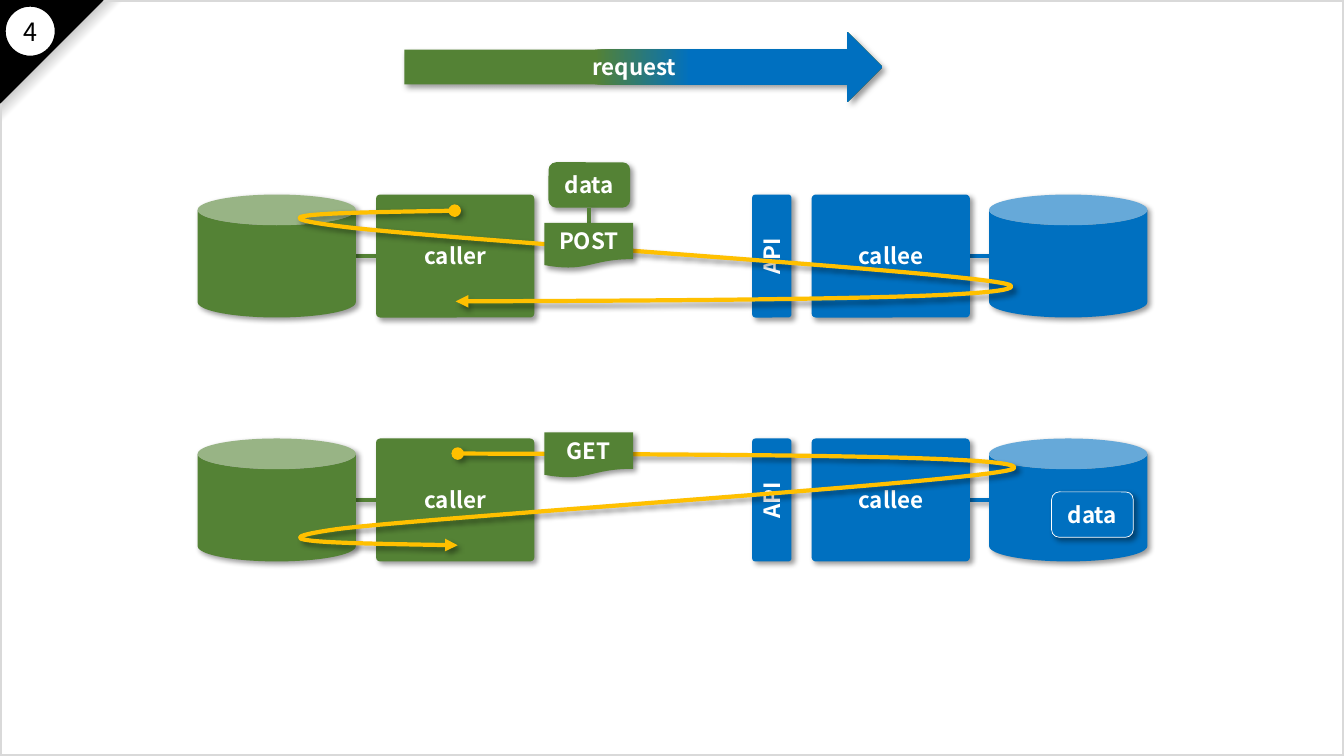
"""Build the slide on a caller posting data to and getting data from a callee API."""
from typing import NamedTuple, Optional

from lxml.etree import SubElement
from pptx import Presentation
from pptx.dml.color import RGBColor
from pptx.enum.shapes import MSO_CONNECTOR, MSO_SHAPE
from pptx.enum.text import MSO_ANCHOR, PP_ALIGN
from pptx.oxml.ns import qn
from pptx.util import Inches, Pt

GREEN = RGBColor(0x54, 0x82, 0x35)
BLUE = RGBColor(0x00, 0x70, 0xC0)
YELLOW = RGBColor(0xFF, 0xC0, 0x00)
WHITE = RGBColor(0xFF, 0xFF, 0xFF)
BLACK = RGBColor(0x00, 0x00, 0x00)
GREY = RGBColor(0x80, 0x80, 0x80)
BORDER = RGBColor(0xD9, 0xD9, 0xD9)
FONT = "Noto Sans CJK JP"
ROW_TOPS = (1.93, 4.35)
ROW_HEIGHT = 1.22
Point = tuple[float, float]


class Block(NamedTuple):
    """A preset shape with its place, look and label."""
    kind: MSO_SHAPE
    left: float
    top: float
    width: float
    height: float
    fill: Optional[RGBColor] = None
    label: str = ""
    corner: Optional[float] = None
    outline: Optional[RGBColor] = None
    outline_width: float = 1
    shadow: bool = True
    rotation: float = 0
    upright: bool = False


class Link(NamedTuple):
    """A straight line between two points."""
    start: Point
    end: Point
    color: RGBColor


class Flow(NamedTuple):
    """A curved arrow given by its bounds, its start and its Bezier points."""
    left: float
    top: float
    width: float
    height: float
    start: Point
    curves: tuple[tuple[Point, Point, Point], ...]


def cast_shadow(shape) -> None:
    """Give a shape or connector the soft shadow of the diagram."""
    properties = shape._element.spPr
    for old in properties.findall(qn("a:effectLst")):
        properties.remove(old)
    effects = SubElement(properties, qn("a:effectLst"))
    outer = SubElement(effects, qn("a:outerShdw"), blurRad=str(Pt(4)), dist=str(Pt(3)),
                       dir="2700000", algn="tl", rotWithShape="0")
    color = SubElement(outer, qn("a:srgbClr"), val=str(BLACK))
    SubElement(color, qn("a:alpha"), val="40000")


def blend(shape, stops: tuple[tuple[int, RGBColor], ...], angle: float) -> None:
    """Fill a shape with gradient stops given in percent."""
    shape.fill.gradient()
    shape.fill.gradient_angle = angle
    stop_list = shape._element.spPr.find(qn("a:gradFill")).find(qn("a:gsLst"))
    for old in list(stop_list):
        stop_list.remove(old)
    for percent, color in stops:
        stop = SubElement(stop_list, qn("a:gs"), pos=str(percent * 1000))
        SubElement(stop, qn("a:srgbClr"), val=str(color))


def write(frame, text: str, size: float, color: RGBColor, bold: bool) -> None:
    """Write one centred run into a text frame."""
    paragraph = frame.paragraphs[0]
    paragraph.alignment = PP_ALIGN.CENTER
    run = paragraph.add_run()
    run.text = text
    run.font.name = FONT
    run.font.size = Pt(size)
    run.font.bold = bold
    run.font.color.rgb = color


def draw_block(slide, block: Block):
    """Draw a block and return its shape."""
    shape = slide.shapes.add_shape(block.kind, Inches(block.left), Inches(block.top),
                                   Inches(block.width), Inches(block.height))
    shape.rotation = block.rotation
    shape.shadow.inherit = False
    if block.corner is not None:
        shape.adjustments[0] = block.corner
    if block.fill is None:
        shape.fill.background()
    else:
        shape.fill.solid()
        shape.fill.fore_color.rgb = block.fill
    if block.outline is None:
        shape.line.fill.background()
    else:
        shape.line.color.rgb = block.outline
        shape.line.width = Pt(block.outline_width)
    if block.shadow:
        cast_shadow(shape)
    if block.label:
        shape.text_frame.vertical_anchor = MSO_ANCHOR.MIDDLE
        write(shape.text_frame, block.label, 16, WHITE, True)
    if block.upright:
        shape.text_frame._txBody.bodyPr.set("vert", "vert270")
    return shape


def draw_link(slide, link: Link) -> None:
    """Draw a straight link."""
    ends = [Inches(value) for value in (*link.start, *link.end)]
    connector = slide.shapes.add_connector(MSO_CONNECTOR.STRAIGHT, *ends)
    connector.line.color.rgb = link.color
    connector.line.width = Pt(3)
    cast_shadow(connector)


def draw_flow(slide, flow: Flow) -> None:
    """Draw a curved arrow with a round tail."""
    left, top = Inches(flow.left), Inches(flow.top)
    builder = slide.shapes.build_freeform(left, top)
    builder.add_line_segments(
        [(left + Inches(flow.width), top + Inches(flow.height))], close=False)
    shape = builder.convert_to_shape()
    outline = shape._element.spPr.find(".//" + qn("a:path"))
    for old in list(outline):
        outline.remove(old)
    for tag, points in (("a:moveTo", (flow.start,)),
                        *(("a:cubicBezTo", curve) for curve in flow.curves)):
        step = SubElement(outline, qn(tag))
        for x, y in points:
            SubElement(step, qn("a:pt"), x=str(Inches(x) - left), y=str(Inches(y) - top))
    shape.fill.background()
    shape.line.color.rgb = YELLOW
    shape.line.width = Pt(3)
    stroke = shape._element.spPr.find(qn("a:ln"))
    SubElement(stroke, qn("a:headEnd"), type="oval")
    SubElement(stroke, qn("a:tailEnd"), type="triangle")
    cast_shadow(shape)


def draw_row(slide, top: float) -> None:
    """Draw one caller and callee pair with their stores."""
    middle = top + ROW_HEIGHT / 2
    for start, end, color in ((3.52, 3.73, GREEN), (9.62, 9.81, BLUE)):
        draw_link(slide, Link((start, middle), (end, middle), color))
    box, store = MSO_SHAPE.ROUNDED_RECTANGLE, MSO_SHAPE.CAN
    for block in (
        Block(store, 1.96, top, 1.57, ROW_HEIGHT, GREEN),
        Block(box, 3.73, top, 1.57, ROW_HEIGHT, GREEN, "caller", 0.034),
        Block(box, 7.46, top, 0.39, ROW_HEIGHT, BLUE, "API", 0.082, upright=True),
        Block(box, 8.05, top, 1.57, ROW_HEIGHT, BLUE, "callee", 0.034),
        Block(store, 9.81, top, 1.57, ROW_HEIGHT, BLUE),
    ):
        draw_block(slide, block)


def main() -> None:
    """Build and save the slide."""
    deck = Presentation()
    deck.slide_width, deck.slide_height = Inches(13.33), Inches(7.5)
    slide = deck.slides.add_slide(deck.slide_layouts[6])

    corner_shade = draw_block(slide, Block(
        MSO_SHAPE.RIGHT_TRIANGLE, 0, 0, 1.23, 1.23, WHITE, shadow=False, rotation=90))
    blend(corner_shade, ((0, WHITE), (50, WHITE), (70, GREY), (100, BLACK)), 225)
    draw_block(slide, Block(MSO_SHAPE.RECTANGLE, 0, 0, 13.33, 7.5, outline=BORDER,
                            outline_width=3, shadow=False))
    for top in ROW_TOPS:
        draw_row(slide, top)
    draw_block(slide, Block(MSO_SHAPE.RIGHT_TRIANGLE, 0, 0, 1.02, 1.02, BLACK,
                            outline=BLACK, shadow=False, rotation=90))
    draw_block(slide, Block(MSO_SHAPE.OVAL, 0.05, 0.06, 0.5, 0.5, WHITE,
                            outline=BLACK, shadow=False))

    draw_flow(slide, Flow(2.98, 2.09, 7.05, 0.9, (4.51, 2.09), (
        ((3.46, 2.11), (2.41, 2.12), (3.33, 2.24)),
        ((4.25, 2.37), (9.82, 2.71), (10.02, 2.83)),
        ((10.21, 2.96), (7.37, 2.98), (4.52, 2.99)))))
    draw_flow(slide, Flow(2.99, 4.5, 7.07, 0.9, (4.54, 4.5), (
        ((7.39, 4.51), (10.25, 4.52), (10.05, 4.65)),
        ((9.85, 4.77), (4.26, 5.13), (3.34, 5.25)),
        ((2.42, 5.38), (3.48, 5.39), (4.54, 5.41)))))

    draw_block(slide, Block(MSO_SHAPE.ROUNDED_RECTANGLE, 10.43, 4.88, 0.81, 0.45, BLUE,
                            "data", outline=WHITE, outline_width=0.5))
    request = draw_block(slide, Block(
        MSO_SHAPE.RIGHT_ARROW, 4.01, 0.32, 4.74, 0.69, GREEN, "request"))
    blend(request, ((0, GREEN), (40, GREEN), (60, BLUE), (100, BLUE)), 0)
    draw_block(slide, Block(MSO_SHAPE.ROUNDED_RECTANGLE, 5.44, 1.61, 0.81, 0.45, GREEN, "data"))
    draw_link(slide, Link((5.84, 2.06), (5.84, 2.21), GREEN))
    for method, top in (("POST", 2.21), ("GET", 4.29)):
        draw_block(slide, Block(MSO_SHAPE.FLOWCHART_DOCUMENT, 5.4, top, 0.88, 0.45, GREEN, method))

    number = slide.shapes.add_textbox(Inches(0.12), Inches(0.11), Inches(0.36), Inches(0.4))
    number.text_frame.word_wrap = False
    write(number.text_frame, "4", 18, BLACK, False)
    deck.save("out.pptx")


if __name__ == "__main__":
    main()
